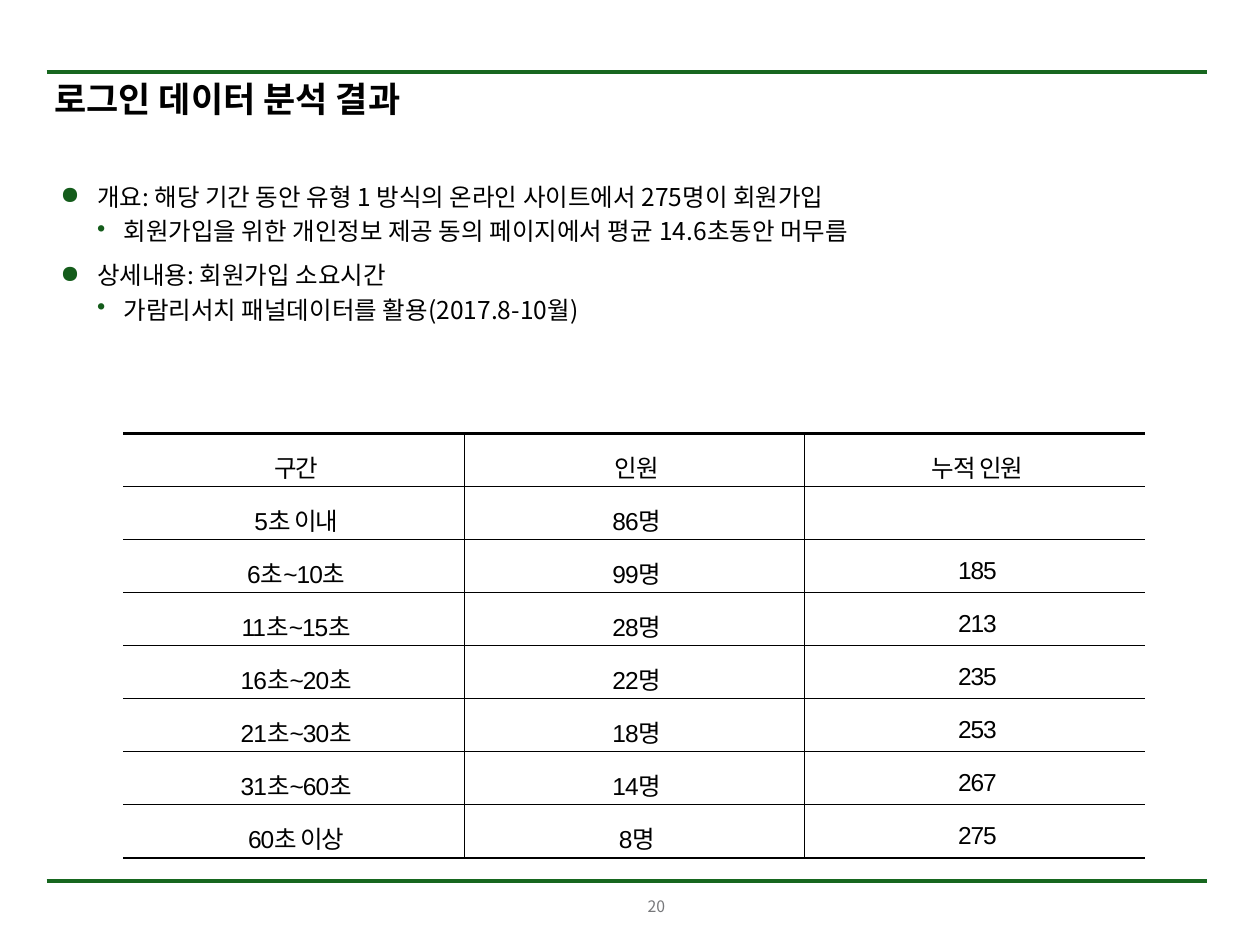
from dataclasses import dataclass

from lxml.etree import SubElement
from pptx import Presentation
from pptx.dml.color import RGBColor
from pptx.enum.shapes import MSO_CONNECTOR
from pptx.enum.text import MSO_ANCHOR, PP_ALIGN
from pptx.oxml.ns import qn
from pptx.util import Inches, Pt

KOREAN_FONT = "Noto Sans CJK KR"
BLACK = "000000"
RULE_GREEN = "17671F"
BULLET_GREEN = "145C1B"
THIN, THICK = 0.28, 1.41
ROW_HEIGHT = 0.39


@dataclass(frozen=True)
class BulletStyle:
    symbol: str
    margin: float
    indent: float
    space_before: float


@dataclass(frozen=True)
class Point:
    level: int
    text: str


BULLET_STYLES = [
    BulletStyle("●", 0.29, -0.29, 10),
    BulletStyle("•", 0.5, -0.21, 4.5),
]
POINTS = [
    Point(0, "개요: 해당 기간 동안 유형 1 방식의 온라인 사이트에서 275명이 회원가입"),
    Point(1, "회원가입을 위한 개인정보 제공 동의 페이지에서 평균 14.6초동안 머무름"),
    Point(0, "상세내용: 회원가입 소요시간"),
    Point(1, "가람리서치 패널데이터를 활용(2017.8-10월)"),
]
SIGNUP_ROWS = [
    ("구간", "인원", "누적 인원"),
    ("5초 이내", "86명", ""),
    ("6초~10초", "99명", "185"),
    ("11초~15초", "28명", "213"),
    ("16초~20초", "22명", "235"),
    ("21초~30초", "18명", "253"),
    ("31초~60초", "14명", "267"),
    ("60초 이상", "8명", "275"),
]


def color(value: str) -> RGBColor:
    return RGBColor.from_string(value)


def set_font(para, size: float, name: str = KOREAN_FONT, fill: str = BLACK, bold: bool = False) -> None:
    font = para.font
    font.size = Pt(size)
    font.name = name
    font.bold = bold
    font.color.rgb = color(fill)
    properties = para._p.pPr.find(qn("a:defRPr"))
    SubElement(properties, qn("a:ea"), typeface=KOREAN_FONT)


def set_indent(para, margin: float, indent: float) -> None:
    properties = para._p.get_or_add_pPr()
    properties.set("marL", str(Inches(margin)))
    properties.set("indent", str(Inches(indent)))


def add_rule(page, top: float) -> None:
    rule = page.shapes.add_connector(
        MSO_CONNECTOR.STRAIGHT, Inches(0.37), Inches(top), Inches(9.58), Inches(top)
    )
    rule.line.color.rgb = color(RULE_GREEN)
    rule.line.width = Pt(2.25)
    SubElement(rule._element.spPr, qn("a:effectLst"))


def add_text_frame(page, left: float, top: float, width: float, height: float):
    box = page.shapes.add_textbox(Inches(left), Inches(top), Inches(width), Inches(height))
    frame = box.text_frame
    frame.word_wrap = True
    frame.margin_left = frame.margin_right = frame.margin_top = frame.margin_bottom = 0
    return frame


def add_title(page, text: str) -> None:
    para = add_text_frame(page, 0.43, 0.65, 9.2, 0.3).paragraphs[0]
    para.text = text
    para.line_spacing = 0.9
    set_font(para, 20, bold=True)


def add_page_number(page, number: str) -> None:
    frame = add_text_frame(page, 4.59, 7.07, 1.24, 0.25)
    frame.vertical_anchor = MSO_ANCHOR.MIDDLE
    para = frame.paragraphs[0]
    para.text = number
    para.alignment = PP_ALIGN.CENTER
    set_font(para, 9, fill="77787B")


def add_points(page, points: list[Point]) -> None:
    frame = add_text_frame(page, 0.48, 1.47, 9.08, 1.3)
    for index, point in enumerate(points):
        style = BULLET_STYLES[point.level]
        para = frame.add_paragraph() if index else frame.paragraphs[0]
        para.text = point.text
        para.level = point.level
        para.line_spacing = 0.9
        para.space_before = Pt(style.space_before)
        set_indent(para, style.margin, style.indent)
        properties = para._p.pPr
        bullet_color = SubElement(properties, qn("a:buClr"))
        SubElement(bullet_color, qn("a:srgbClr"), val=BULLET_GREEN)
        SubElement(properties, qn("a:buChar"), char=style.symbol)
        set_font(para, 14)


def set_borders(cell, left: float, right: float, top: float, bottom: float) -> None:
    properties = cell._tc.get_or_add_tcPr()
    widths = {"a:lnL": left, "a:lnR": right, "a:lnT": top, "a:lnB": bottom}
    for position, (tag, width) in enumerate(widths.items()):
        line = SubElement(properties, qn(tag), w=str(Pt(width)))
        if width:
            fill = SubElement(line, qn("a:solidFill"))
            SubElement(fill, qn("a:srgbClr"), val=BLACK)
        else:
            SubElement(line, qn("a:noFill"))
        properties.insert(position, line)


def fill_cell(cell, text: str) -> None:
    cell.fill.background()
    cell.vertical_anchor = MSO_ANCHOR.MIDDLE
    cell.margin_left = cell.margin_right = Inches(0.07)
    cell.margin_top = cell.margin_bottom = Inches(0.02)
    if text:
        para = cell.text_frame.paragraphs[0]
        para.text = text
        para.alignment = PP_ALIGN.CENTER
        para.line_spacing = 1.35
        set_indent(para, 0.04, 0)
        set_font(para, 14, "Arial")
        para._p.pPr.find(qn("a:defRPr")).set("spc", "-60")


def add_signup_table(page, rows: list[tuple[str, ...]]) -> None:
    last_row, last_column = len(rows) - 1, len(rows[0]) - 1
    table = page.shapes.add_table(
        len(rows), len(rows[0]), Inches(0.98), Inches(3.44),
        Inches(8.11), Inches(ROW_HEIGHT * len(rows)),
    ).table
    table.first_row = table.horz_banding = False
    for row, values in enumerate(rows):
        table.rows[row].height = Inches(3.37 / len(rows))
        for column, text in enumerate(values):
            cell = table.cell(row, column)
            fill_cell(cell, text)
            set_borders(
                cell,
                left=THIN if column else 0,
                right=THIN if column < last_column else 0,
                top=THIN if row else THICK,
                bottom=THIN if row < last_row else THICK,
            )


def main() -> None:
    deck = Presentation()
    deck.slide_width, deck.slide_height = Inches(10), Inches(7.5)
    page = deck.slides.add_slide(deck.slide_layouts[6])
    for top in (0.57, 6.99):
        add_rule(page, top)
    add_title(page, "로그인 데이터 분석 결과")
    add_points(page, POINTS)
    add_signup_table(page, SIGNUP_ROWS)
    add_page_number(page, "20")
    deck.save("out.pptx")


if __name__ == "__main__":
    main()
